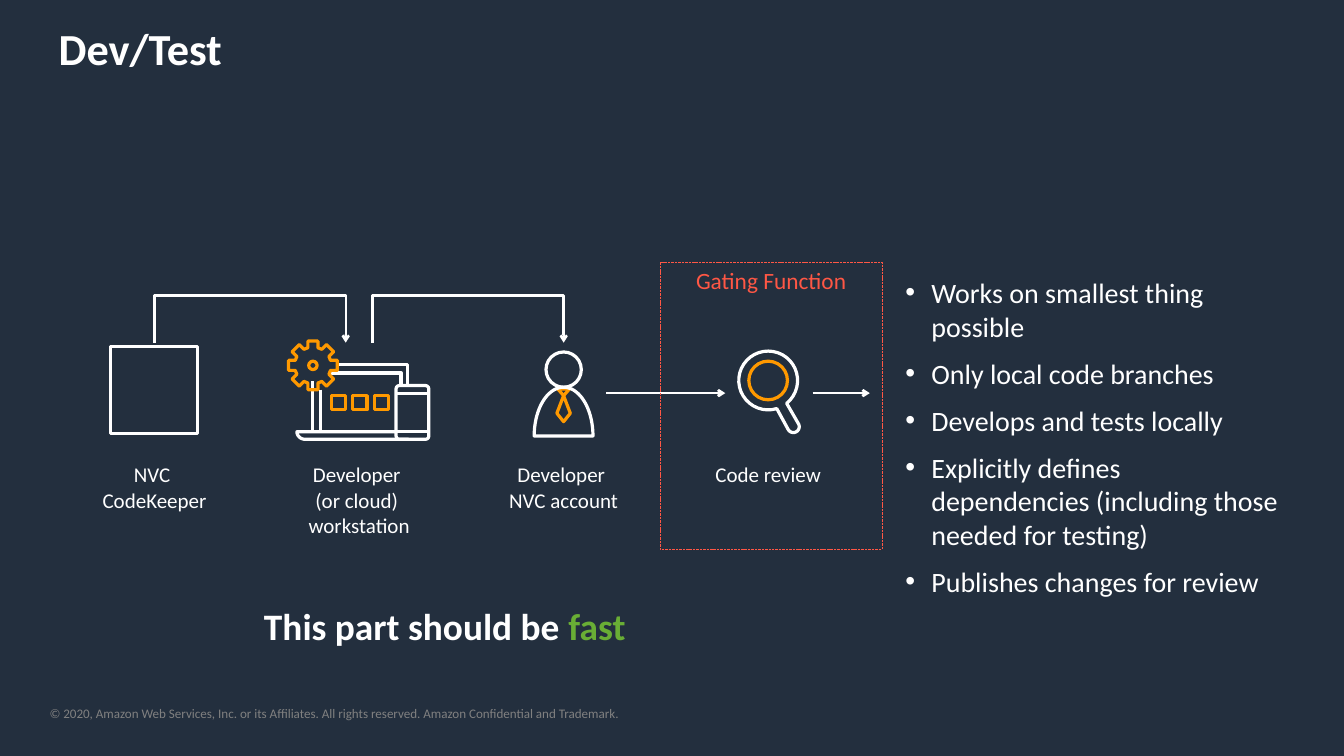
from math import cos, radians, sin

from lxml import etree
from pptx import Presentation
from pptx.dml.color import RGBColor
from pptx.enum import dml, shapes, text
from pptx.oxml.ns import qn
from pptx.util import Inches, Pt

WHITE, ORANGE, RED, GREEN = "FFFFFF", "FF9900", "FF5745", "69AE35"
NAVY, GRAY = "232F3E", "808080"
CENTER = text.PP_ALIGN.CENTER


def color(value):
    return RGBColor.from_string(value)


def inches(*values):
    return [Inches(value) for value in values]


# Text
def write(frame, paragraphs, size, fill=WHITE, bold=False, align=None,
          bullet=False, space=0, accent=None):
    for index, words in enumerate(paragraphs):
        paragraph = frame.paragraphs[0] if index == 0 else frame.add_paragraph()
        paragraph.text = words
        paragraph.alignment = align
        if index:
            paragraph.space_before = Pt(space)
        if bullet:
            properties = paragraph._p.get_or_add_pPr()
            properties.set("marL", str(Inches(0.31)))
            properties.set("indent", str(Inches(-0.31)))
            font = etree.SubElement(properties, qn("a:buFont"))
            font.set("typeface", "Arial")
            etree.SubElement(properties, qn("a:buChar")).set("char", "•")
        if accent:
            paragraph.add_run().text = accent[0]
        for run in paragraph.runs:
            run.font.name = "Calibri"
            run.font.size = Pt(size)
            run.font.bold = bold
            run.font.color.rgb = color(fill)
        if accent:
            paragraph.runs[-1].font.color.rgb = color(accent[1])


def add_text(slide, box, paragraphs, size, wrap=True, inset=0.1,
             anchor=text.MSO_ANCHOR.TOP, **formatting):
    frame = slide.shapes.add_textbox(*inches(*box)).text_frame
    frame.word_wrap = wrap
    frame.vertical_anchor = anchor
    frame.margin_left = frame.margin_right = Inches(inset)
    frame.margin_top = frame.margin_bottom = Inches(inset / 2)
    write(frame, paragraphs, size, **formatting)


# Lines and outlines
def stroke(shape, line_color, width, arrow=False):
    shape.line.color.rgb = color(line_color)
    shape.line.width = Pt(width)
    line = shape.line._get_or_add_ln()
    etree.SubElement(line, qn("a:round"))
    if arrow:
        etree.SubElement(line, qn("a:tailEnd")).set("type", "arrow")


def add_line(slide, start, end, width=2.75, arrow=False):
    line = slide.shapes.add_connector(
        shapes.MSO_CONNECTOR.STRAIGHT, *inches(*start, *end))
    stroke(line, WHITE, width, arrow)
    etree.SubElement(line._element.spPr, qn("a:effectLst"))


def add_outline(slide, origin, points, line_color=WHITE, closed=True,
                width=2.75, arrow=False):
    points = [inches(origin[0] + x, origin[1] + y) for x, y in points]
    builder = slide.shapes.build_freeform(*points[0])
    builder.add_line_segments(points[1:], close=closed)
    shape = builder.convert_to_shape()
    shape.shadow.inherit = False
    shape.fill.background()
    stroke(shape, line_color, width, arrow)


def add_preset(slide, kind, box, line_color=WHITE, width=2.75):
    shape = slide.shapes.add_shape(kind, *inches(*box))
    shape.shadow.inherit = False
    shape.fill.background()
    stroke(shape, line_color, width)
    return shape


def add_circle(slide, x, y, radius, line_color=WHITE):
    add_preset(slide, shapes.MSO_SHAPE.OVAL,
               (x - radius, y - radius, 2 * radius, 2 * radius), line_color)


def arc(x, y, radius_x, radius_y, start, end, steps=36):
    angles = [radians(start + (end - start) * i / steps) for i in range(steps + 1)]
    return [(x + radius_x * cos(a), y + radius_y * sin(a)) for a in angles]


# Icons, each placed around a centre point
def repository_icon(slide, x, y):
    add_preset(slide, shapes.MSO_SHAPE.RECTANGLE, (x - 0.52, y - 0.55, 1.03, 1.03))


def workstation_icon(slide, x, y):
    origin = (x, y)
    phone = add_preset(slide, shapes.MSO_SHAPE.ROUNDED_RECTANGLE,
                       (x + 0.44, y - 0.09, 0.39, 0.64))
    phone.adjustments[0] = 0.1
    for height in (0, 0.46):
        add_line(slide, (x + 0.44, y + height), (x + 0.83, y + height))
    base = [(0.59, 0.55), *arc(-0.64, 0.46, 0.1, 0.09, 90, 180, 8), (0.44, 0.46)]
    add_outline(slide, origin, base, closed=False)
    for side, top, right, left in ((-0.55, -0.34, 0.58, -0.26),
                                   (-0.46, -0.24, 0.5, -0.36)):
        add_line(slide, (x + side, y + top + 0.2), (x + side, y + 0.46))
        screen = [(right, -0.09), (right, top), (left, top)]
        add_outline(slide, origin, screen, closed=False)
    # Gear with eight teeth
    tooth = [(0.21, -0.06), (0.29, -0.06), (0.29, 0.06), (0.21, 0.06)]
    turns = [radians(45 * i) for i in range(8)]
    gear = [(a * cos(t) - b * sin(t), a * sin(t) + b * cos(t))
            for t in turns for a, b in tooth]
    add_outline(slide, (x - 0.55, y - 0.33), gear, ORANGE)
    add_circle(slide, x - 0.55, y - 0.33, 0.05, ORANGE)
    for i in range(3):
        add_preset(slide, shapes.MSO_SHAPE.RECTANGLE,
                   (x - 0.33 + 0.255 * i, y + 0.03, 0.17, 0.17), ORANGE)


def developer_icon(slide, x, y):
    origin = (x, y)
    knot = [(-0.07, -0.05), (0.07, -0.05), (0, 0.03)]
    tie = [(0.08, 0.24), (0, 0.03), (-0.08, 0.24), (0, 0.34)]
    for outline in (knot, tie):
        add_outline(slide, origin, outline, ORANGE)
    add_circle(slide, x, y - 0.28, 0.21)
    add_outline(slide, origin, arc(0, 0.51, 0.35, 0.58, 180, 360))


def magnifier_icon(slide, x, y):
    rim = arc(0, -0.15, 0.35, 0.35, 51, -287)
    handle = arc(0.3, 0.4, 0.07, 0.07, 153, -27, 12)
    add_outline(slide, (x, y), rim + handle)
    add_circle(slide, x, y - 0.15, 0.23, ORANGE)


# Regions
def add_workflow(slide, left, top):
    steps = [(repository_icon, ["NVC \vCodeKeeper"]),
             (workstation_icon, ["Developer \v(or cloud) ", "workstation"]),
             (developer_icon, ["Developer \vNVC account"]),
             (magnifier_icon, ["Code review"])]
    middle = top + 1.56
    centers = [left + 0.85 + 2.435 * i for i in range(len(steps))]
    for center, (icon, label) in zip(centers, steps):
        icon(slide, center, middle)
        add_text(slide, (center - 0.85, top + 2.33, 1.7, 0.3 * len(label) + 0.4),
                 label, 18, wrap=False, align=CENTER)
    # Arrows between steps
    for start, end in ((centers[0], centers[1] - 0.16),
                       (centers[1] + 0.16, centers[2])):
        elbow = [(start, 0.96), (start, 0.4), (end, 0.4), (end, 0.96)]
        add_outline(slide, (0, top), elbow, closed=False, width=2, arrow=True)
    for start, end in ((centers[2] + 0.51, centers[3] - 0.51),
                       (centers[3] + 0.53, centers[3] + 1.21)):
        add_line(slide, (start, middle), (end, middle), 2, arrow=True)
    # Gate around the review
    gate = add_preset(slide, shapes.MSO_SHAPE.RECTANGLE,
                      (left + 6.87, top, 2.64, 3.42), RED, 0.75)
    gate.line.dash_style = dml.MSO_LINE.SQUARE_DOT
    gate.text_frame.vertical_anchor = text.MSO_ANCHOR.TOP
    write(gate.text_frame, ["Gating Function"], 20, fill=RED, align=CENTER)


def add_principles(slide, box):
    add_text(slide, box, [
        "Works on smallest thing possible",
        "Only local code branches",
        "Develops and tests locally",
        "Explicitly defines dependencies (including those needed for testing)",
        "Publishes changes for review",
    ], 24, bullet=True, space=11.5)


def main():
    presentation = Presentation()
    presentation.slide_width, presentation.slide_height = inches(16, 9)
    slide = presentation.slides.add_slide(presentation.slide_layouts[6])
    slide.background.fill.solid()
    slide.background.fill.fore_color.rgb = color(NAVY)

    add_text(slide, (0.6, 0.2, 14.78, 0.99), ["Dev/Test"], 38, bold=True)
    add_workflow(slide, 0.99, 3.12)
    add_principles(slide, (10.68, 3.23, 4.7, 4.41))
    add_text(slide, (2.81, 7.13, 4.97, 0.64), ["This part should be "], 32,
             wrap=False, anchor=text.MSO_ANCHOR.MIDDLE, bold=True, align=CENTER,
             accent=("fast", GREEN))
    add_text(slide, (0.59, 8.4, 7.78, 0.19),
             ["© 2020, Amazon Web Services, Inc. or its Affiliates. "
              "All rights reserved. Amazon Confidential and Trademark."],
             11.2, inset=0, fill=GRAY)
    presentation.save("out.pptx")


if __name__ == "__main__":
    main()
